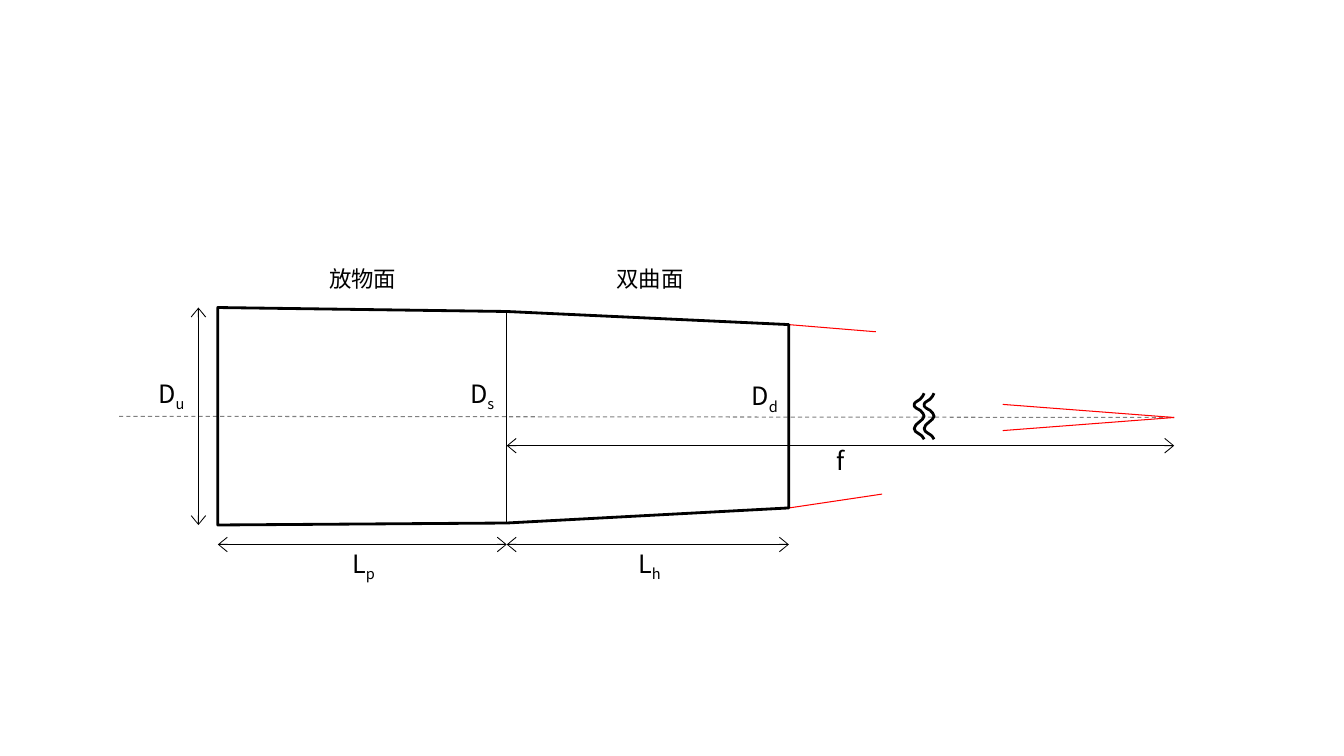
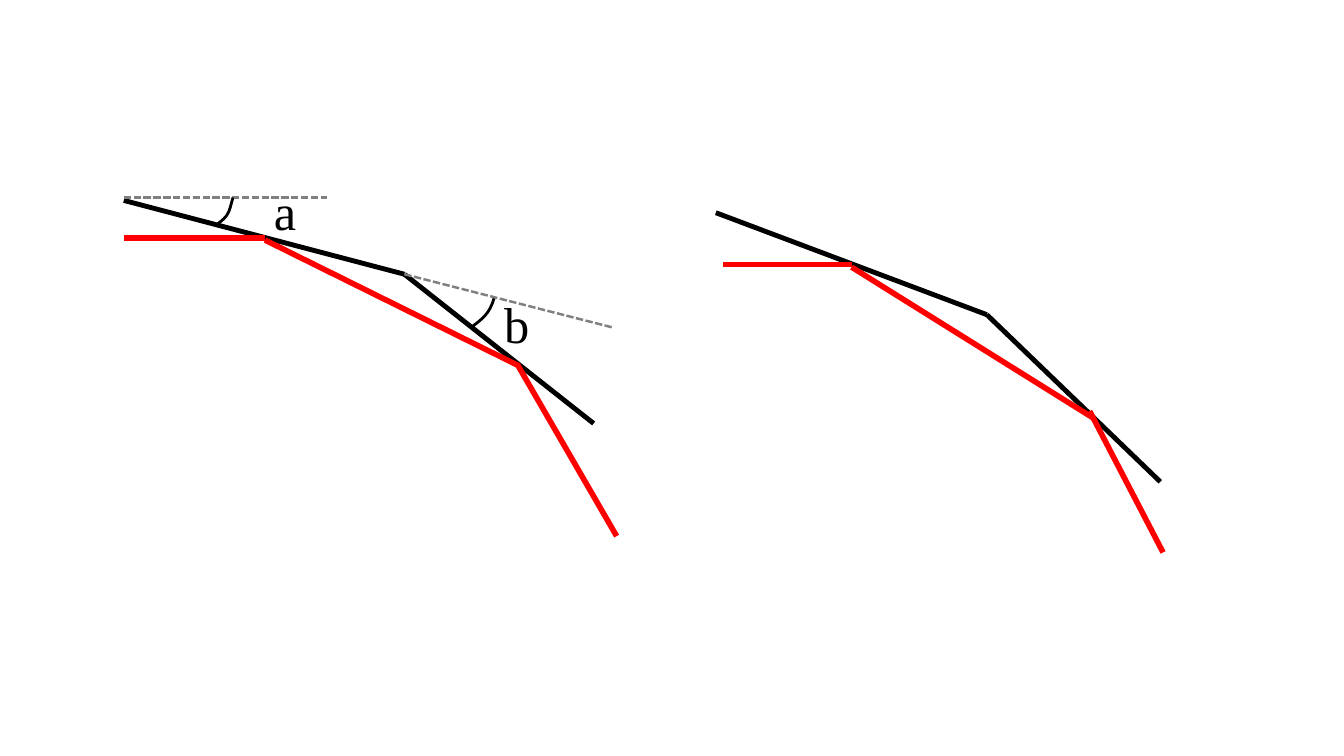
"""Two optics diagrams: a double mirror in section, and its reflection angles."""
import pptx
import pptx.dml.color
import pptx.enum.dml
import pptx.enum.shapes
import pptx.enum.text
import pptx.oxml
import pptx.oxml.ns
import pptx.util
from pptx.util import Cm

COLORS = {"ink": "000000", "ray": "FF0000", "guide": "808080"}
DASH = pptx.enum.dml.MSO_LINE.DASH
SHORT_DASH = pptx.enum.dml.MSO_LINE.SQUARE_DOT


def rgb(name):
    return pptx.dml.color.RGBColor.from_string(COLORS[name])


def element(tag, attributes=""):
    return pptx.oxml.parse_xml(f'<a:{tag} {pptx.oxml.ns.nsdecls("a")} {attributes}/>')


class Diagram:
    sans, serif = "Noto Sans CJK JP", "Times New Roman"

    def __init__(self):
        self.prs = pptx.Presentation()
        self.prs.slide_width, self.prs.slide_height = Cm(33.87), Cm(19.05)
        self.s = None

    def slide(self):
        self.s = self.prs.slides.add_slide(self.prs.slide_layouts[6])

    def stroke(self, sp, color, width, dash=None):
        sp.line.color.rgb = rgb(color)
        sp.line.width = pptx.util.Pt(width)
        if dash is not None:
            sp.line.dash_style = dash

    def line(self, start, end, color="ink", width=0.75, dash=None, arrows=False):
        sp = self.s.shapes.add_connector(
            pptx.enum.shapes.MSO_CONNECTOR.STRAIGHT, *map(Cm, start + end))
        self.stroke(sp, color, width, dash)
        if arrows:
            ln = sp._element.spPr.find(pptx.oxml.ns.qn("a:ln"))
            for tag in ("headEnd", "tailEnd"):
                ln.append(element(tag, 'type="arrow" w="lg" len="med"'))
        sp._element.spPr.append(element("effectLst"))

    def outline(self, points, close=False):
        corners = [(Cm(x), Cm(y)) for x, y in points]
        builder = self.s.shapes.build_freeform(*corners[0])
        builder.add_line_segments(corners[1:], close=close)
        sp = builder.convert_to_shape()
        sp.shadow.inherit = False
        sp.fill.background()
        self.stroke(sp, "ink", 2)
        return sp

    def curve(self, points):
        sp = self.outline(points)
        segments = list(sp._element.iter(pptx.oxml.ns.qn("a:lnTo")))
        for i in range(0, len(segments), 3):
            bezier = element("cubicBezTo")
            segments[i].addprevious(bezier)
            for segment in segments[i:i + 3]:
                bezier.append(segment[0])
                segment.getparent().remove(segment)

    def label(self, text, x, y, w, h, size=18, sub="", font=sans):
        tf = self.s.shapes.add_textbox(*map(Cm, (x, y, w, h))).text_frame
        tf.word_wrap = False
        tf.auto_size = pptx.enum.text.MSO_AUTO_SIZE.SHAPE_TO_FIT_TEXT
        p = tf.paragraphs[0]
        p.text = text
        p.alignment = pptx.enum.text.PP_ALIGN.CENTER
        if sub:
            r = p.add_run()
            r.text = sub
            r._r.get_or_add_rPr().set("baseline", "-25000")
        for r in p.runs:
            r.font.size = pptx.util.Pt(size)
            r.font.name = font
            r.font.color.rgb = rgb("ink")
            r._r.get_or_add_rPr().append(element("ea", f'typeface="{font}"'))


def mirror_section(d):
    d.slide()
    left, joint, right, focus = 5.49, 12.77, 19.88, 29.59
    top, joint_top, right_top = 7.75, 7.85, 8.18
    bottom, joint_bottom, right_bottom = 13.23, 13.18, 12.8
    tip = (focus, 10.52)

    d.line((3, 10.49), tip, "guide", dash=DASH)
    for start, end in (((right, right_top), (22.07, 8.36)),
                       ((right, right_bottom), (22.23, 12.45)),
                       ((25.27, 10.19), tip), ((25.27, 10.85), tip)):
        d.line(start, end, "ray")

    d.outline([(left, top), (joint, joint_top), (right, right_top),
               (right, right_bottom), (joint, joint_bottom), (left, bottom)], close=True)
    d.line((joint, joint_top), (joint, joint_bottom), width=1)

    for start, end in (((5, top), (5, bottom)),
                       ((left, 13.72), (joint, 13.72)),
                       ((joint, 13.72), (right, 13.72)),
                       ((joint, 11.23), (focus, 11.23))):
        d.line(start, end, arrows=True)

    wave = (
        (23.29, 9.91), (23.29, 9.96), (23.22, 10.01), (23.19, 10.06),
        (23.14, 10.11), (23.04, 10.13), (23.04, 10.19),
        (23.01, 10.26), (23.14, 10.31), (23.19, 10.34),
        (23.24, 10.39), (23.29, 10.44), (23.29, 10.49),
        (23.29, 10.54), (23.22, 10.59), (23.16, 10.64),
        (23.11, 10.69), (23.04, 10.72), (23.04, 10.8),
        (23.04, 10.85), (23.09, 10.9), (23.14, 10.92),
        (23.22, 10.97), (23.27, 11), (23.29, 11.07))
    for shift in (0, 0.25):
        d.curve([(x + shift, y) for x, y in wave])

    for text, x in (("放物面", 7.94), ("双曲面", 15.18)):
        d.label(text, x, 6.55, 2.4, 0.91, size=16)
    for text, sub, x, y in (("D", "u", 3.67, 9.4), ("D", "s", 11.5, 9.4),
                            ("D", "d", 18.62, 9.47), ("L", "p", 8.56, 13.69),
                            ("L", "h", 15.77, 13.69)):
        d.label(text, x, y, 1.3 if text == "D" else 1.2, 1.12, sub=sub)
    d.label("f", 20.83, 11.1, 0.71, 1.02)


def reflection_angles(d):
    d.slide()
    mirrors = (((3.12, 5.05), (10.19, 6.91), (14.96, 10.67)),
               ((18.04, 5.36), (24.87, 7.93), (29.24, 12.14)))
    rays = (((3.12, 5.99), (6.68, 5.99)), ((6.68, 6.05), (13.08, 9.22)),
            ((13.03, 9.17), (15.54, 13.51)),
            ((18.23, 6.67), (21.48, 6.67)), ((21.46, 6.73), (27.53, 10.52)),
            ((27.46, 10.36), (29.31, 13.92)))
    for start, bend, end in mirrors:
        d.line(start, bend, width=3.5)
        d.line(bend, end, width=3.5)
    for start, end in rays:
        d.line(start, end, "ray", 4)
    for start, end in (((3.12, 4.98), (8.23, 4.98)), ((10.19, 6.91), (15.47, 8.26))):
        d.line(start, end, "guide", 1.75, SHORT_DASH)

    d.curve([(5.87, 4.98), (5.77, 5.36), (5.77, 5.44), (5.46, 5.66)])
    d.curve([(12.45, 7.52), (12.34, 7.9), (12.17, 8.03), (11.86, 8.26)])
    for text, x, y, w in (("a", 6.65, 4.42, 1.07), ("b", 12.45, 7.26, 1.14)):
        d.label(text, x, y, w, 1.78, size=36, font=d.serif)


def main():
    d = Diagram()
    mirror_section(d)
    reflection_angles(d)
    d.prs.save("out.pptx")


if __name__ == "__main__":
    main()
